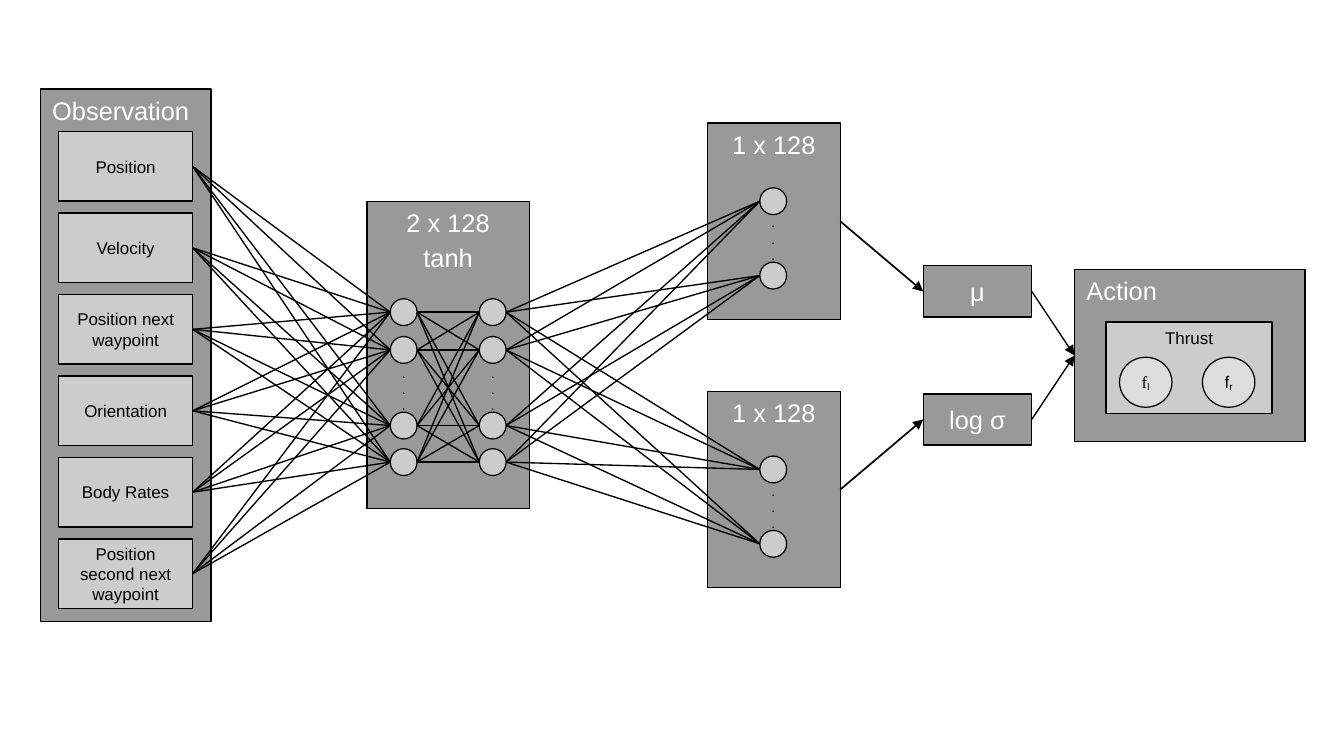
from itertools import product

from lxml.etree import SubElement
from pptx import Presentation
from pptx.dml.color import RGBColor
from pptx.enum.shapes import MSO_CONNECTOR, MSO_SHAPE
from pptx.enum.text import MSO_ANCHOR, PP_ALIGN
from pptx.oxml.ns import qn
from pptx.util import Inches, Pt

BLACK = RGBColor(0x00, 0x00, 0x00)
WHITE = RGBColor(0xFF, 0xFF, 0xFF)
PANEL_GRAY = RGBColor(0x99, 0x99, 0x99)
ITEM_GRAY = RGBColor(0xCC, 0xCC, 0xCC)
THRUST_GRAY = RGBColor(0xDD, 0xDD, 0xDD)

THIN = 0.79
NODE_SIZE = 0.22
OBSERVATIONS = ["Position", "Velocity", "Position next waypoint",
                "Orientation", "Body Rates", "Position second next waypoint"]
ITEM_LEFT, ITEM_TOP, ITEM_STEP = 0.48, 1.08, 0.668
ITEM_WIDTH, ITEM_HEIGHT = 1.1, 0.57
HIDDEN_COLUMNS = [3.2, 3.93]
HIDDEN_TOPS = [2.45, 2.76, 3.38, 3.68]
HEAD_LEFT, HEAD_WIDTH, HEAD_HEIGHT = 5.8, 1.09, 1.61
HEAD_TOPS = [1.01, 3.21]
HEAD_NODE_LEFT = 6.23
HEAD_NODE_OFFSETS = [0.53, 1.14]
OUTPUT_LEFT, OUTPUT_WIDTH, OUTPUT_HEIGHT = 7.57, 0.89, 0.42
OUTPUTS = [("μ", 2.18), ("log σ", 3.23)]
ACTION_LEFT, ACTION_TOP, ACTION_HEIGHT = 8.81, 2.21, 1.41


def style_text(box, color, size, align, font="Arial", before=2.9):
    for para in box.text_frame.paragraphs:
        para.alignment = align
        para.space_before = Pt(before)
        for span in para.runs:
            span.font.name = font
            span.font.size = Pt(size)
            span.font.color.rgb = color


def add_box(page, kind, left, top, width, height, fill, line_width):
    box = page.shapes.add_shape(
        kind, Inches(left), Inches(top), Inches(width), Inches(height))
    box.shadow.inherit = False
    box.fill.solid()
    box.fill.fore_color.rgb = fill
    box.line.color.rgb = BLACK
    box.line.width = Pt(line_width)
    return box


def add_panel(page, left, top, width, height, text,
              align=PP_ALIGN.CENTER, anchor=MSO_ANCHOR.TOP):
    box = add_box(page, MSO_SHAPE.RECTANGLE, left, top, width, height, PANEL_GRAY, THIN)
    box.text_frame.text = text
    box.text_frame.vertical_anchor = anchor
    style_text(box, WHITE, 15, align, before=2.9 if align == PP_ALIGN.CENTER else 0)


def add_item(page, left, top, width, height, text, anchor=MSO_ANCHOR.MIDDLE):
    box = add_box(page, MSO_SHAPE.RECTANGLE, left, top, width, height, ITEM_GRAY, THIN)
    box.text_frame.text = text
    box.text_frame.vertical_anchor = anchor
    style_text(box, BLACK, 10, PP_ALIGN.CENTER)


def add_node(page, left, top):
    add_box(page, MSO_SHAPE.OVAL, left, top, NODE_SIZE, NODE_SIZE, ITEM_GRAY, 0)


def add_dots(page, left, top):
    box = page.shapes.add_textbox(
        Inches(left), Inches(top), Inches(NODE_SIZE), Inches(0.47))
    frame = box.text_frame
    frame.margin_left = frame.margin_right = 0
    frame.word_wrap = True
    frame.text = ".\n.\n."
    style_text(box, BLACK, 8, PP_ALIGN.CENTER, before=0)


def add_thruster(page, left, subscript, font):
    circle = add_box(page, MSO_SHAPE.OVAL, left, 2.93, 0.43, 0.41, THRUST_GRAY, 0)
    circle.text_frame.vertical_anchor = MSO_ANCHOR.MIDDLE
    para = circle.text_frame.paragraphs[0]
    para.add_run().text = "f"
    lowered = para.add_run()
    lowered.text = subscript
    style_text(circle, BLACK, 10, PP_ALIGN.CENTER, font, before=0)
    lowered._r.get_or_add_rPr().set("baseline", "-8000")


def add_line(page, start, end, width=THIN, arrow=False):
    line = page.shapes.add_connector(
        MSO_CONNECTOR.STRAIGHT, *(Inches(value) for value in (*start, *end)))
    line.line.color.rgb = BLACK
    line.line.width = Pt(width)
    if arrow:
        SubElement(line.line._get_or_add_ln(), qn("a:tailEnd"), type="triangle")
    SubElement(line._element.spPr, qn("a:effectLst"))


def connect_all(page, starts, ends):
    for start, end in product(starts, ends):
        add_line(page, start, end)


def node_sides(left, tops):
    middles = [top + NODE_SIZE / 2 for top in tops]
    return ([(left, middle) for middle in middles],
            [(left + NODE_SIZE, middle) for middle in middles])


def add_observation(page):
    add_panel(page, 0.33, 0.73, 1.4, 4.37, "Observation", PP_ALIGN.LEFT)
    exits = []
    for index, name in enumerate(OBSERVATIONS):
        top = ITEM_TOP + index * ITEM_STEP
        add_item(page, ITEM_LEFT, top, ITEM_WIDTH, ITEM_HEIGHT, name)
        exits.append((ITEM_LEFT + ITEM_WIDTH, top + ITEM_HEIGHT / 2))
    return exits


def add_hidden_layers(page):
    add_panel(page, 3.01, 1.65, 1.33, 2.52, "2 x 128\ntanh")
    for left in HIDDEN_COLUMNS:
        for top in HIDDEN_TOPS:
            add_node(page, left, top)
        add_dots(page, left, 2.94)
    return [node_sides(left, HIDDEN_TOPS) for left in HIDDEN_COLUMNS]


def add_heads(page):
    entries = []
    for top in HEAD_TOPS:
        add_panel(page, HEAD_LEFT, top, HEAD_WIDTH, HEAD_HEIGHT, "1 x 128")
        node_tops = [top + offset for offset in HEAD_NODE_OFFSETS]
        for node_top in node_tops:
            add_node(page, HEAD_NODE_LEFT, node_top)
        add_dots(page, HEAD_NODE_LEFT, top + 0.7)
        entries += node_sides(HEAD_NODE_LEFT, node_tops)[0]
    return entries


def add_outputs(page):
    for (name, top), head_top in zip(OUTPUTS, HEAD_TOPS):
        add_panel(page, OUTPUT_LEFT, top, OUTPUT_WIDTH, OUTPUT_HEIGHT, name,
                  anchor=MSO_ANCHOR.MIDDLE)
        middle = top + OUTPUT_HEIGHT / 2
        add_line(page, (HEAD_LEFT + HEAD_WIDTH, head_top + HEAD_HEIGHT / 2),
                 (OUTPUT_LEFT, middle), 1, True)
        add_line(page, (OUTPUT_LEFT + OUTPUT_WIDTH, middle),
                 (ACTION_LEFT, ACTION_TOP + ACTION_HEIGHT / 2), arrow=True)


def add_action(page):
    add_panel(page, ACTION_LEFT, ACTION_TOP, 1.89, ACTION_HEIGHT, "Action", PP_ALIGN.LEFT)
    add_item(page, 9.07, 2.64, 1.36, 0.75, "Thrust", MSO_ANCHOR.TOP)
    add_thruster(page, 9.18, "l", "Times New Roman")
    add_thruster(page, 9.86, "r", "Arial")


def main():
    deck = Presentation()
    deck.slide_width, deck.slide_height = Inches(11.02), Inches(6.2)
    page = deck.slides.add_slide(deck.slide_layouts[6])
    observation_exits = add_observation(page)
    (first_in, first_out), (second_in, second_out) = add_hidden_layers(page)
    head_entries = add_heads(page)
    add_action(page)
    add_outputs(page)
    connect_all(page, observation_exits, first_in)
    connect_all(page, first_out, second_in)
    connect_all(page, second_out, head_entries)
    deck.save("out.pptx")


if __name__ == "__main__":
    main()
